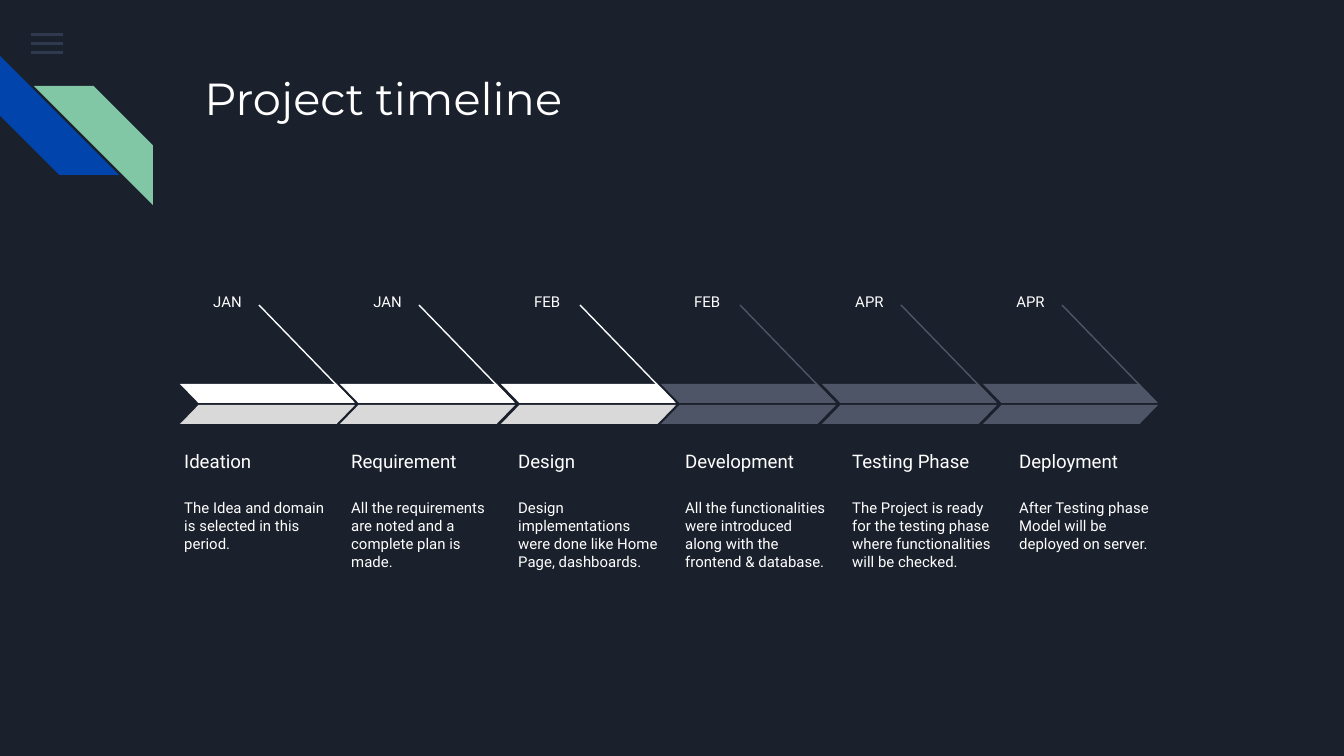
from lxml import etree
from pptx import Presentation
from pptx.dml.color import RGBColor
from pptx.enum.shapes import MSO_CONNECTOR, MSO_SHAPE
from pptx.enum.text import MSO_ANCHOR, MSO_AUTO_SIZE, PP_ALIGN
from pptx.oxml.ns import qn
from pptx.util import Pt

EMU_PER_PX = 914400 / 134.4
STRAIGHT = MSO_CONNECTOR.STRAIGHT
RECTANGLE = MSO_SHAPE.RECTANGLE
STRIPE = MSO_SHAPE.DIAGONAL_STRIPE
PARALLELOGRAM = MSO_SHAPE.PARALLELOGRAM
TOP, BOTTOM = MSO_ANCHOR.TOP, MSO_ANCHOR.BOTTOM
NO_FIT = MSO_AUTO_SIZE.NONE
LEFT = PP_ALIGN.LEFT

NAVY = RGBColor(0x1B, 0x21, 0x2C)
WHITE = RGBColor(0xFF, 0xFF, 0xFF)
SILVER = RGBColor(0xD9, 0xD9, 0xD9)
SLATE = RGBColor(0x4E, 0x55, 0x67)
STEEL = RGBColor(0x55, 0x68, 0x8B)
BLUE = RGBColor(0x01, 0x45, 0xAC)
GREEN = RGBColor(0x82, 0xC7, 0xA5)

TITLE_FONT = {"name": "Montserrat", "size": Pt(24), "bold": False}
HEADING_FONT = {"name": "Roboto", "size": Pt(10)}
BODY_FONT = {"name": "Roboto", "size": Pt(8)}

STEPS = [
    ("JAN", "Ideation", "The Idea and domain is selected in this period.", True),
    ("JAN", "Requirement", "All the requirements are noted and a complete plan is made.", True),
    ("FEB", "Design", "Design implementations were done like Home Page, dashboards.", True),
    ("FEB", "Development", "All the functionalities were introduced along with the frontend & database.", False),
    ("APR", "Testing Phase", "The Project is ready for the testing phase where functionalities will be checked.", False),
    ("APR", "Deployment", "After Testing phase Model will be deployed on server.", False),
]


def px(value):
    return round(value * EMU_PER_PX)


def write_text(shape, text, font_values, anchor=TOP, space_after=0):
    frame = shape.text_frame
    frame_values = {
        "word_wrap": True,
        "auto_size": NO_FIT,
        "vertical_anchor": anchor,
        "margin_top": px(13),
        "margin_bottom": px(13),
    }
    for name, value in frame_values.items():
        setattr(frame, name, value)
    frame.text = text
    paragraph = frame.paragraphs[0]
    paragraph.alignment = LEFT
    paragraph.space_after = Pt(space_after)
    font = paragraph.runs[0].font
    for name, value in font_values.items():
        setattr(font, name, value)
    font.color.rgb = WHITE


def add_text(slide, box, text, font_values, **options):
    shape = slide.shapes.add_textbox(*map(px, box))
    write_text(shape, text, font_values, **options)


def add_block(slide, kind, box, color, adjustment=None, flip=False, alpha=None):
    shape = slide.shapes.add_shape(kind, *map(px, box))
    shape.shadow.inherit = False
    shape.fill.solid()
    shape.fill.fore_color.rgb = color
    shape.line.fill.background()
    if adjustment is not None:
        shape.adjustments[0] = adjustment
    if flip:
        shape.element.spPr.xfrm.set("flipH", "1")
    if alpha is not None:
        color_element = shape.element.spPr.find(".//" + qn("a:srgbClr"))
        etree.SubElement(color_element, qn("a:alpha"), val=str(alpha * 1000))
    return shape


def add_menu_icon(slide, left, top):
    for index in range(3):
        add_block(slide, RECTANGLE, (left, top + 9 * index, 32, 3), STEEL, alpha=36)


def add_stripes(slide, left, top):
    blue_stripe = add_block(slide, STRIPE, (left, top, 119, 119), BLUE, 0.5)
    blue_stripe.rotation = 270
    add_block(slide, STRIPE, (left + 34, top + 30, 119, 119), GREEN, 0.5, flip=True)


def add_title(slide, left, top, width, height):
    title = slide.shapes.title
    title.left, title.top, title.width, title.height = map(px, (left, top, width, height))
    write_text(title, "Project timeline", TITLE_FONT)


def add_milestone(slide, left, top, month, done):
    add_text(slide, (left + 20, top, 79, 31), month, BODY_FONT)
    upper, lower = (WHITE, SILVER) if done else (SLATE, SLATE)
    ends = (left + 79, top + 25, left + 173, top + 122)
    pointer = slide.shapes.add_connector(STRAIGHT, *map(px, ends))
    pointer.line.color.rgb = upper
    pointer.line.width = Pt(0.75)
    etree.SubElement(pointer.element.spPr, qn("a:effectLst"))
    add_block(slide, PARALLELOGRAM, (left, top + 104, 175, 19), upper, 0.97, flip=True)
    add_block(slide, PARALLELOGRAM, (left, top + 125, 175, 19), lower, 0.97)


def add_caption(slide, left, top, width, heading, body):
    add_text(slide, (left, top, width, 59), heading, HEADING_FONT, anchor=BOTTOM)
    add_text(slide, (left, top + 60, width, 98), body, BODY_FONT, space_after=16)


def add_timeline(slide, left, top):
    for index, (month, heading, body, done) in enumerate(STEPS):
        add_milestone(slide, left + 9 + index * 803 // 5, top, month, done)
        caption_width = 172 if index == 0 else 167
        caption_left = left + index * 1003 // 6
        add_caption(slide, caption_left, top + 146, caption_width, heading, body)


def main():
    presentation = Presentation()
    presentation.slide_width = px(1344)
    presentation.slide_height = px(756)
    slide = presentation.slides.add_slide(presentation.slide_layouts[5])
    slide.background.fill.solid()
    slide.background.fill.fore_color.rgb = NAVY
    add_menu_icon(slide, 31, 33)
    add_stripes(slide, 0, 56)
    add_title(slide, 191, 58, 1035, 134)
    add_timeline(slide, 171, 280)
    presentation.save("out.pptx")


if __name__ == "__main__":
    main()
